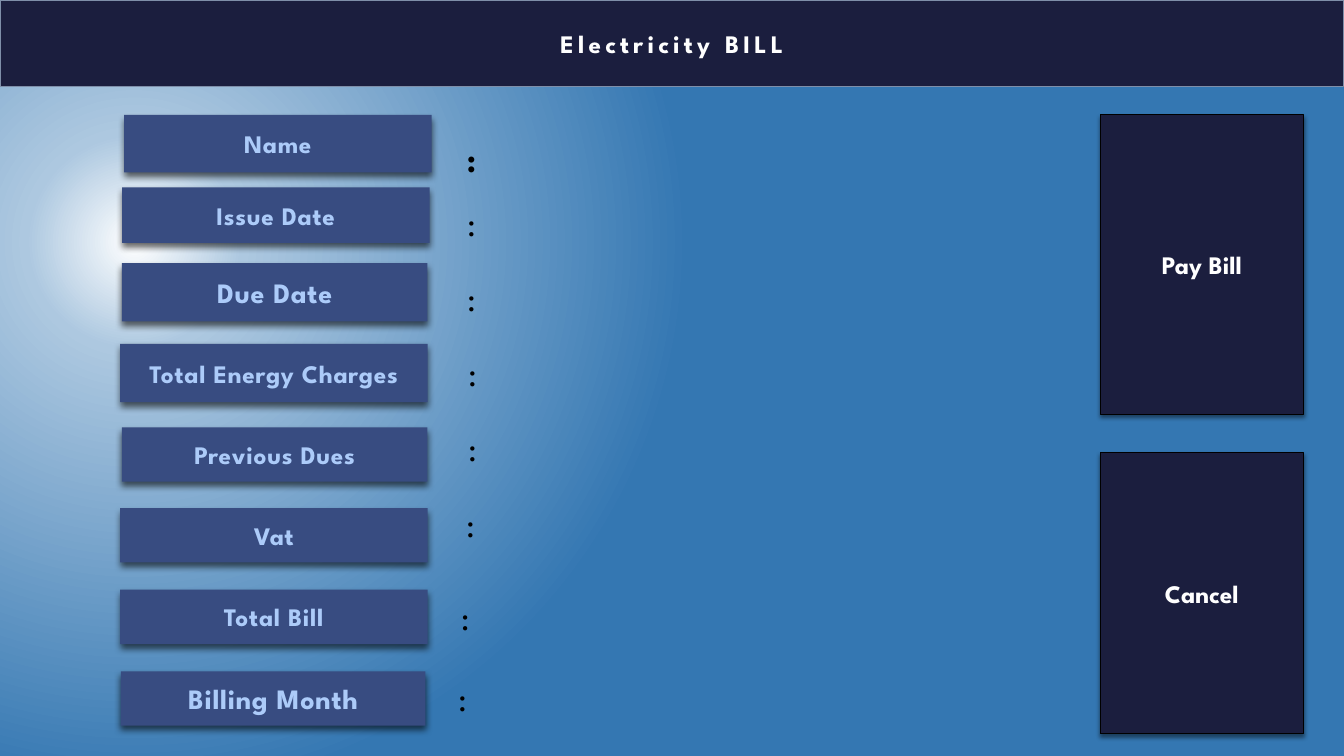
"""Build the electricity bill screen as a single slide."""
import dataclasses
from typing import Optional

import pptx
import pptx.dml.color
import pptx.enum.shapes
import pptx.enum.text
import pptx.oxml
import pptx.oxml.ns
import pptx.util

COLORS = {
    "navy": "1B1E3E", "header_edge": "7F8FA9", "label": "384C81",
    "label_text": "ACCBF9", "white": "FFFFFF", "black": "000000",
    "glow": "ADC8E0", "backdrop": "3477B2",
}
FONT = "League Spartan"
SLIDE_WIDTH = pptx.util.Inches(13.33)
SLIDE_HEIGHT = pptx.util.Inches(7.5)
COLUMN = SLIDE_WIDTH / 100
ROW = SLIDE_HEIGHT / 100
COLON_COLUMNS, COLON_ROWS = 2.2, 4


@dataclasses.dataclass(frozen=True)
class Area:
    left: float
    top: float
    width: float
    height: float

    def emu(self) -> tuple[int, int, int, int]:
        return (round(self.left * COLUMN), round(self.top * ROW),
                round(self.width * COLUMN), round(self.height * ROW))


@dataclasses.dataclass(frozen=True)
class TextStyle:
    size: float
    color: str
    bold: bool = True
    spacing: float = 0


@dataclasses.dataclass(frozen=True)
class Shadow:
    opacity: int
    blur: float
    distance: float


@dataclasses.dataclass(frozen=True)
class BillField:
    label: str
    area: Area
    colon_center: float
    colon_top: float
    size: float = 18
    bold_colon: bool = False


@dataclasses.dataclass(frozen=True)
class Action:
    label: str
    area: Area


LABEL_SHADOW = Shadow(60, 5, 3)
ACTION_SHADOW = Shadow(45, 3, 2)
HEADER = Area(0, 0, 100, 11.47)
FIELDS = [
    BillField("Name", Area(9.23, 15.2, 22.88, 7.6), 35.07, 19.07, bold_colon=True),
    BillField("Issue Date", Area(9.08, 24.8, 22.88, 7.33), 35.07, 27.47),
    BillField("Due Date", Area(9.08, 34.8, 22.73, 7.73), 35.07, 37.47, size=20),
    BillField("Total Energy Charges", Area(8.93, 45.47, 22.88, 7.73), 35.15, 47.33),
    BillField("Previous Dues", Area(9.08, 56.53, 22.73, 7.2), 35.15, 57.33),
    BillField("Vat", Area(8.93, 67.2, 22.88, 7.2), 35, 67.33),
    BillField("Total Bill", Area(8.93, 78, 22.88, 7.2), 34.62, 79.6),
    BillField("Billing Month", Area(9, 88.8, 22.66, 7.2), 34.4, 90.4, size=20),
]
ACTIONS = [
    Action("Pay Bill", Area(81.85, 15.2, 15.15, 39.6)),
    Action("Cancel", Area(81.85, 59.87, 15.15, 37.2)),
]


def rgb(name: str) -> pptx.dml.color.RGBColor:
    return pptx.dml.color.RGBColor.from_string(COLORS[name])


def write(shape, text: str, style: TextStyle) -> None:
    frame = shape.text_frame
    frame.text = text
    frame.auto_size = pptx.enum.text.MSO_AUTO_SIZE.NONE
    frame.vertical_anchor = pptx.enum.text.MSO_ANCHOR.MIDDLE
    paragraph = frame.paragraphs[0]
    paragraph.alignment = pptx.enum.text.PP_ALIGN.CENTER
    run = paragraph.runs[0]
    run.font.name = FONT
    run.font.size = pptx.util.Pt(style.size)
    run.font.bold = style.bold
    run.font.color.rgb = rgb(style.color)
    if style.spacing:
        run._r.get_or_add_rPr().set("spc", str(round(style.spacing * 100)))


def paint(shape, fill: str, edge: Optional[str] = None) -> None:
    shape.fill.solid()
    shape.fill.fore_color.rgb = rgb(fill)
    if edge:
        shape.line.color.rgb = rgb(edge)
        shape.line.width = pptx.util.Pt(0.75)
    else:
        shape.line.fill.background()


def cast_shadow(shape, shadow: Shadow) -> None:
    shape.shadow.inherit = False
    effects = shape.element.spPr.find(pptx.oxml.ns.qn("a:effectLst"))
    effects.append(pptx.oxml.parse_xml(
        f'<a:outerShdw {pptx.oxml.ns.nsdecls("a")} blurRad="{pptx.util.Pt(shadow.blur)}" '
        f'dist="{pptx.util.Pt(shadow.distance)}" dir="5400000" algn="ctr" rotWithShape="0">'
        f'<a:srgbClr val="{COLORS["black"]}"><a:alpha val="{shadow.opacity * 1000}"/>'
        '</a:srgbClr></a:outerShdw>'))


def add_panel(slide, area: Area, fill: str, shadow: Shadow, edge: Optional[str] = None):
    panel = slide.shapes.add_shape(pptx.enum.shapes.MSO_SHAPE.RECTANGLE, *area.emu())
    paint(panel, fill, edge)
    cast_shadow(panel, shadow)
    return panel


def add_backdrop(slide) -> None:
    slide.background.fill.gradient()
    gradient = slide.element.find(".//" + pptx.oxml.ns.qn("a:gradFill"))
    stops = "".join(
        f'<a:gs pos="{share * 1000}"><a:srgbClr val="{COLORS[name]}"/></a:gs>'
        for share, name in [(0, "white"), (14, "glow"), (72, "backdrop")])
    gradient.getparent().replace(gradient, pptx.oxml.parse_xml(
        f'<a:gradFill {pptx.oxml.ns.nsdecls("a")} rotWithShape="1"><a:gsLst>{stops}</a:gsLst>'
        '<a:path path="circle"><a:fillToRect l="45000" t="65000" r="125000" b="100000"/>'
        '</a:path></a:gradFill>'))


def add_header(slide) -> None:
    header = slide.shapes.title
    header.left, header.top, header.width, header.height = HEADER.emu()
    paint(header, "navy", "header_edge")
    write(header, "Electricity BILL", TextStyle(18, "white", spacing=3))


def add_field(slide, field: BillField) -> None:
    label = add_panel(slide, field.area, "label", LABEL_SHADOW)
    write(label, field.label, TextStyle(field.size, "label_text", spacing=0.5))
    place = Area(field.colon_center - COLON_COLUMNS / 2, field.colon_top,
                 COLON_COLUMNS, COLON_ROWS)
    colon = slide.shapes.add_textbox(*place.emu())
    frame = colon.text_frame
    frame.margin_left = frame.margin_right = frame.margin_top = frame.margin_bottom = 0
    frame.word_wrap = True
    write(colon, ":", TextStyle(24, "black", field.bold_colon, 0.5 if field.bold_colon else 0))


def add_action(slide, action: Action) -> None:
    button = add_panel(slide, action.area, "navy", ACTION_SHADOW, "black")
    write(button, action.label, TextStyle(18, "white"))


def main() -> None:
    deck = pptx.Presentation()
    deck.slide_width, deck.slide_height = SLIDE_WIDTH, SLIDE_HEIGHT
    slide = deck.slides.add_slide(deck.slide_layouts.get_by_name("Title Only"))
    add_backdrop(slide)
    add_header(slide)
    for field in FIELDS:
        add_field(slide, field)
    for action in ACTIONS:
        add_action(slide, action)
    deck.save("out.pptx")


if __name__ == "__main__":
    main()
